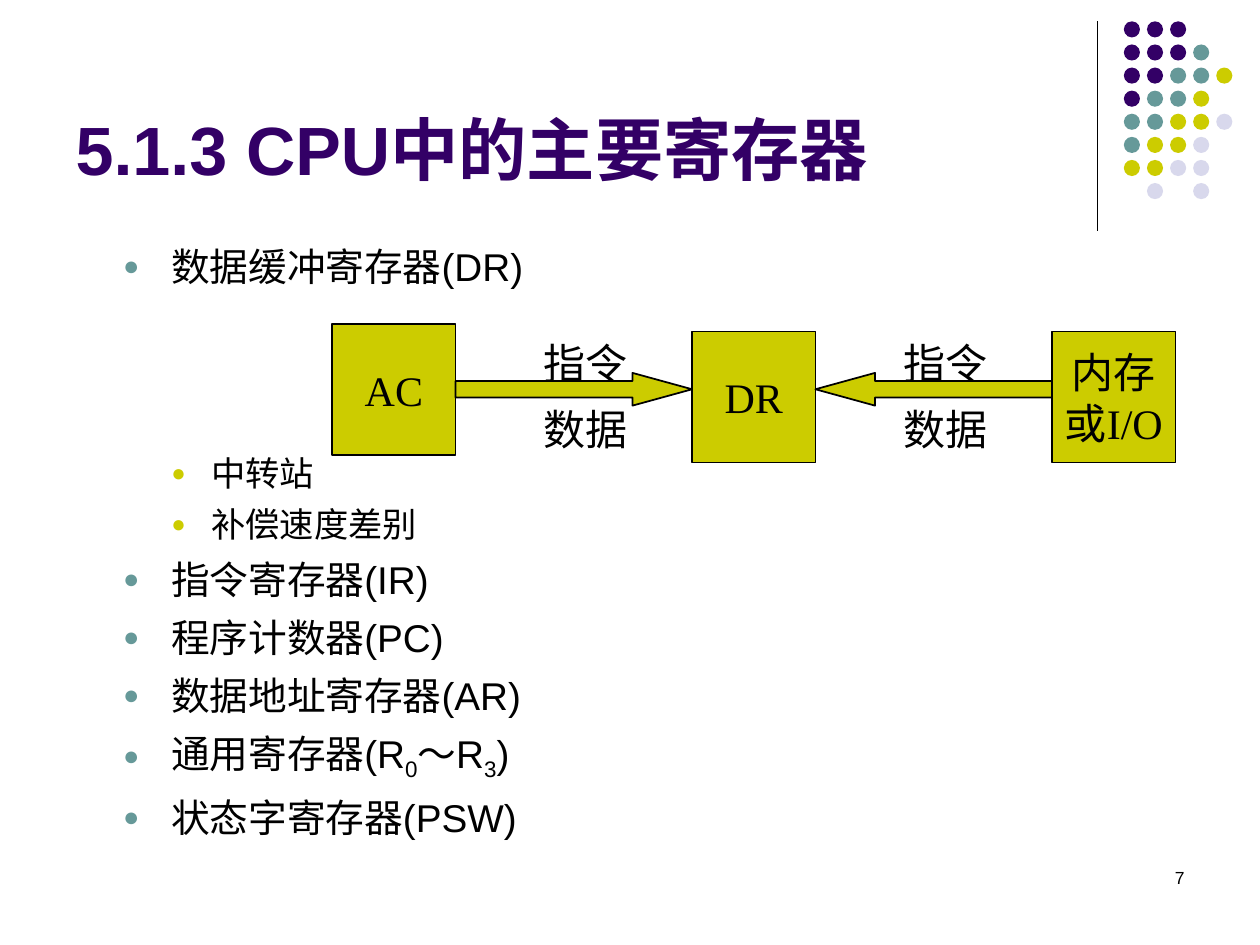
from lxml import etree
from pptx import Presentation
from pptx.dml.color import RGBColor
from pptx.enum.shapes import MSO_CONNECTOR, MSO_SHAPE
from pptx.enum.text import MSO_ANCHOR, PP_ALIGN
from pptx.oxml.ns import qn
from pptx.util import Pt

RECT, OVAL = MSO_SHAPE.RECTANGLE, MSO_SHAPE.OVAL
LEFT_ARROW, RIGHT_ARROW = MSO_SHAPE.LEFT_ARROW, MSO_SHAPE.RIGHT_ARROW
STRAIGHT = MSO_CONNECTOR.STRAIGHT
TOP, MIDDLE, BOTTOM = MSO_ANCHOR.TOP, MSO_ANCHOR.MIDDLE, MSO_ANCHOR.BOTTOM
LEFT, CENTER, RIGHT = PP_ALIGN.LEFT, PP_ALIGN.CENTER, PP_ALIGN.RIGHT

PURPLE, TEAL, OLIVE, LILAC, BLACK = "330066", "669999", "CCCC00", "D8D8EC", "000000"
SANS, SERIF = "Arial", "Times New Roman"

DOT_COLORS = {"P": PURPLE, "T": TEAL, "O": OLIVE, "L": LILAC}
DOT_ROWS = ["PPP", "PPPT", "PPTTO", "PTTO", "TTOOL", "TOOL", "OOLL", " L L"]

LEVELS = {
    1: {"size": 22.1, "color": TEAL, "margin": 54.7, "hanging": 27.4, "before": 6.5},
    2: {"size": 19.6, "color": OLIVE, "margin": 77.8, "hanging": 23, "before": 5.8},
}
DIAGRAM_GAP = 93
REGISTERS = [
    (1, ["数据缓冲寄存器(DR)"], 0),
    (2, ["中转站"], DIAGRAM_GAP),
    (2, ["补偿速度差别"], None),
    (1, ["指令寄存器(IR)"], None),
    (1, ["程序计数器(PC)"], None),
    (1, ["数据地址寄存器(AR)"], None),
    (1, ["通用寄存器(R", "0", "～R", "3", ")"], None),
    (1, ["状态字寄存器(PSW)"], None),
]

BOX_WIDTH, BOX_HEIGHT, BOX_PITCH = 70.5, 75, 205.7
DIAGRAM_LEFT, DIAGRAM_TOP = 189.8, 189.4


def rgb(hex_color):
    """Turn a hex string into a colour."""
    return RGBColor.from_string(hex_color)


def add_run(paragraph, text, size, font=SANS, color=BLACK, bold=False):
    """Append formatted text to a paragraph and return the run."""
    run = paragraph.add_run()
    run.text = text
    run.font.size, run.font.name, run.font.bold = Pt(size), font, bold
    run.font.color.rgb = rgb(color)
    return run


def write(frame, text, align=LEFT, anchor=TOP, wrap=False, **text_format):
    """Fill a text frame, one paragraph for each line of text."""
    frame.word_wrap = wrap
    frame.vertical_anchor = anchor
    for index, line in enumerate(text.split("\n")):
        paragraph = frame.add_paragraph() if index else frame.paragraphs[0]
        paragraph.alignment = align
        add_run(paragraph, line, **text_format)


def add_label(slide, text, left, top, width, height, **text_format):
    """Place a text box with formatted text."""
    label = slide.shapes.add_textbox(Pt(left), Pt(top), Pt(width), Pt(height))
    write(label.text_frame, text, **text_format)


def add_filled(slide, kind, left, top, width, height, fill, outlined=False):
    """Place a flat filled shape, with a thin black outline if wanted."""
    shape = slide.shapes.add_shape(kind, Pt(left), Pt(top), Pt(width), Pt(height))
    shape.shadow.inherit = False
    shape.fill.solid()
    shape.fill.fore_color.rgb = rgb(fill)
    if outlined:
        shape.line.color.rgb = rgb(BLACK)
        shape.line.width = Pt(1)
    else:
        shape.line.fill.background()
    return shape


def add_corner_ornament(slide):
    """Draw the vertical rule and the dot pattern."""
    rule = slide.shapes.add_connector(STRAIGHT, Pt(627.1), Pt(12.2), Pt(627.1), Pt(131.8))
    rule.line.color.rgb = rgb(BLACK)
    rule.line.width = Pt(0.75)
    etree.SubElement(rule._element.spPr, qn("a:effectLst"))
    for row, codes in enumerate(DOT_ROWS):
        for column, code in enumerate(codes):
            if code in DOT_COLORS:
                add_filled(slide, OVAL, 642.2 + 13.2 * column, 12.2 + 13.2 * row,
                           9.2, 9.2, DOT_COLORS[code])


def add_bullet(paragraph, color, margin, hanging):
    """Give a paragraph a round coloured bullet and a hanging indent."""
    properties = paragraph._p.get_or_add_pPr()
    properties.set("marL", str(Pt(margin)))
    properties.set("indent", str(-Pt(hanging)))
    bullet_color = etree.SubElement(properties, qn("a:buClr"))
    etree.SubElement(bullet_color, qn("a:srgbClr"), val=color)
    etree.SubElement(properties, qn("a:buSzPct"), val="70000")
    etree.SubElement(properties, qn("a:buFont"), typeface=SANS)
    etree.SubElement(properties, qn("a:buChar"), char="●")


def add_register_list(slide):
    """Write the bulleted list of registers around the diagram."""
    frame = slide.shapes.add_textbox(Pt(36), Pt(135.4), Pt(648), Pt(347)).text_frame
    frame.word_wrap = True
    for index, (level, parts, gap) in enumerate(REGISTERS):
        style = LEVELS[level]
        paragraph = frame.add_paragraph() if index else frame.paragraphs[0]
        add_bullet(paragraph, style["color"], style["margin"], style["hanging"])
        paragraph.level = level - 1
        paragraph.space_before = Pt(style["before"] if gap is None else gap)
        for part in parts:
            run = add_run(paragraph, part, style["size"])
            if part.isdigit():
                run._r.get_or_add_rPr().set("baseline", "-25000")


def add_data_path(slide):
    """Draw the three units and the flows into the DR."""
    for index, (unit, top) in enumerate([("AC", DIAGRAM_TOP - 4.4), ("DR", DIAGRAM_TOP),
                                         ("内存\n或I/O", DIAGRAM_TOP)]):
        box = add_filled(slide, RECT, DIAGRAM_LEFT + index * BOX_PITCH, top,
                         BOX_WIDTH, BOX_HEIGHT, OLIVE, outlined=True)
        write(box.text_frame, unit, align=CENTER, anchor=MIDDLE, size=24, font=SERIF)
    for index, direction in enumerate([RIGHT_ARROW, LEFT_ARROW]):
        unit_left = DIAGRAM_LEFT + index * BOX_PITCH
        for row, flow in enumerate(["指令", "数据"]):
            add_label(slide, flow, unit_left + 113.8, DIAGRAM_TOP + 37.4 * row, 68, 36,
                      wrap=True, size=24, font=SERIF)
        arrow = add_filled(slide, direction, unit_left + BOX_WIDTH, 213.1,
                           BOX_PITCH - BOX_WIDTH, 18.7, OLIVE, outlined=True)
        arrow.adjustments[1] = 1.82


def main():
    """Build the slide and save it."""
    deck = Presentation()
    deck.slide_width, deck.slide_height = Pt(720), Pt(540)
    slide = deck.slides.add_slide(deck.slide_layouts[5])
    add_corner_ornament(slide)
    title = slide.shapes.title
    title.left, title.top, title.width, title.height = Pt(36), Pt(9.4), Pt(594), Pt(102.2)
    write(title.text_frame, "5.1.3 CPU中的主要寄存器", anchor=BOTTOM, wrap=True,
          size=39, color=PURPLE, bold=True)
    add_register_list(slide)
    add_data_path(slide)
    add_label(slide, "7", 516.2, 491.8, 167.8, 36, align=RIGHT, wrap=True, size=10)
    deck.save("out.pptx")


if __name__ == "__main__":
    main()
